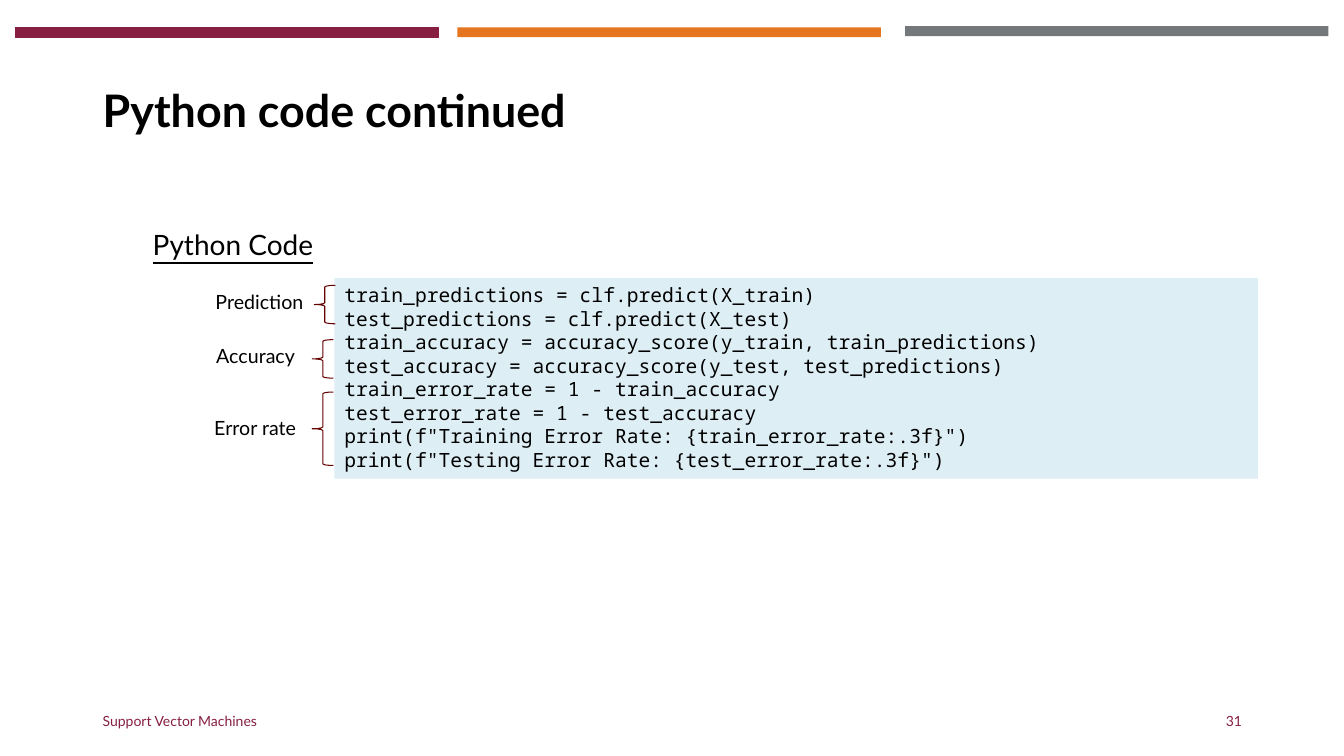
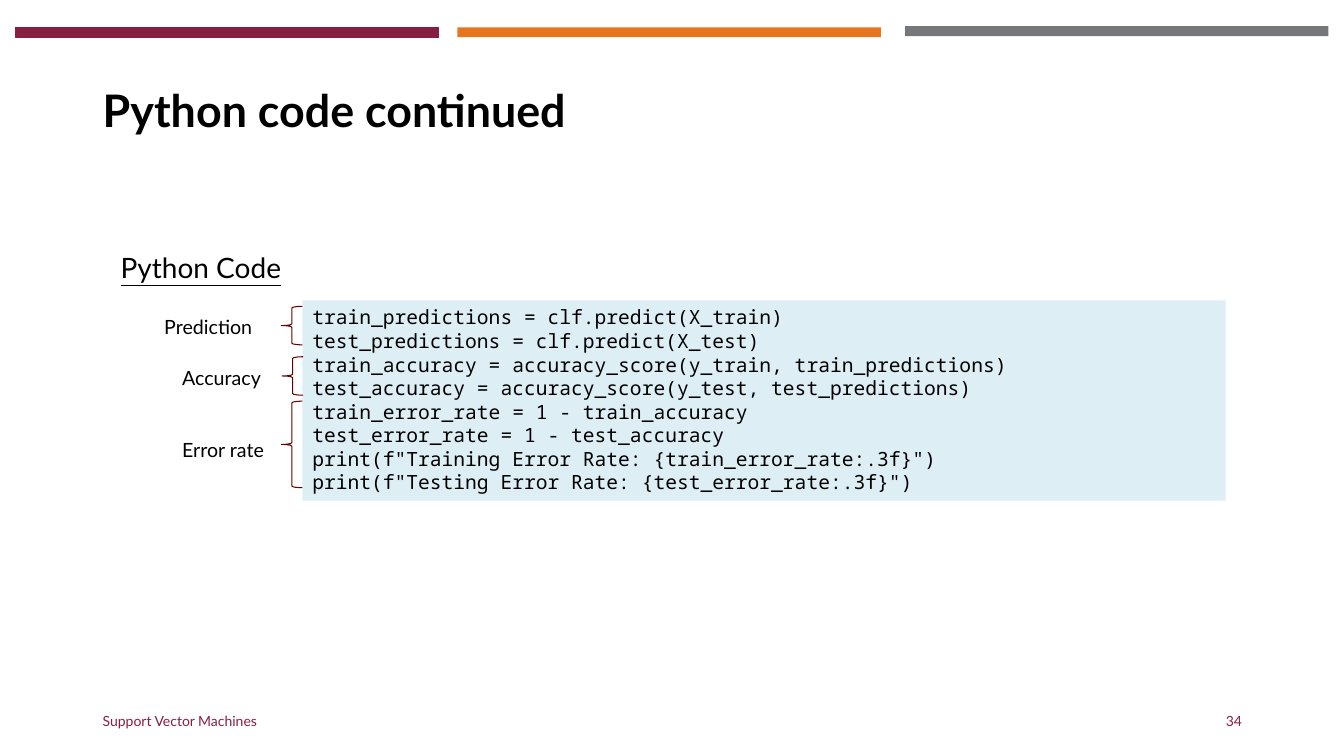
import dataclasses

import pptx
import pptx.dml.color
import pptx.enum.shapes
import pptx.enum.text
import pptx.util

Cm = pptx.util.Cm
Pt = pptx.util.Pt
Shape = pptx.enum.shapes.MSO_SHAPE
Align = pptx.enum.text.PP_ALIGN
Anchor = pptx.enum.text.MSO_ANCHOR


@dataclasses.dataclass(frozen=True)
class Theme:
    sans: str = "Lato"
    mono: str = "Noto Sans Mono"
    ink: str = "000000"
    maroon: str = "861F41"
    orange: str = "E5751F"
    gray: str = "75787B"
    panel: str = "DEEEF5"
    brace: str = "650000"
    title: int = 32
    head: int = 20
    body: int = 14
    foot: int = 10
    rule: float = 0.75


THEME = Theme()

CODE = [
    "train_predictions = clf.predict(X_train)",
    "test_predictions = clf.predict(X_test)",
    "train_accuracy = accuracy_score(y_train, train_predictions)",
    "test_accuracy = accuracy_score(y_test, test_predictions)",
    "train_error_rate = 1 - train_accuracy",
    "test_error_rate = 1 - test_accuracy",
    'print(f"Training Error Rate: {train_error_rate:.3f}")',
    'print(f"Testing Error Rate: {test_error_rate:.3f}")',
]


@dataclasses.dataclass(frozen=True)
class Note:
    text: str
    left: float
    top: float
    brace_left: float
    brace_top: float
    brace_high: float


@dataclasses.dataclass(frozen=True)
class Page:
    number: str
    left: float
    top: float
    notes: tuple


PAGES = [
    Page("31", 8.43, 7.01, (
        Note("Prediction", -3.25, 0.18, -0.51, 0.18, 0.97),
        Note("Accuracy", -3.23, 1.52, -0.56, 1.55, 0.97),
        Note("Error rate", -3.28, 3.35, -0.56, 2.87, 1.85),
    )),
    Page("34", 7.62, 7.57, (
        Note("Prediction", -3.73, 0.25, -0.53, 0.15, 0.97),
        Note("Accuracy", -3.28, 1.52, -0.51, 1.42, 0.97),
        Note("Error rate", -3.28, 3.35, -0.53, 2.54, 2.18),
    )),
]


def tint(code):
    return pptx.dml.color.RGBColor.from_string(code)


def write(frame, lines, size, face=THEME.sans, ink=THEME.ink, bold=False,
          under=False, align=Align.LEFT, anchor=Anchor.TOP, pitch=None):
    frame.word_wrap = True
    frame.vertical_anchor = anchor
    for at, line in enumerate(lines):
        para = frame.add_paragraph() if at else frame.paragraphs[0]
        para.alignment = align
        if pitch:
            para.line_spacing = pitch
        run = para.add_run()
        run.text = line
        font = run.font
        font.name = face
        font.size = Pt(size)
        font.bold = bold
        font.underline = under
        font.color.rgb = tint(ink)


def add_text(slide, box, text, size, **style):
    label = slide.shapes.add_textbox(*map(Cm, box))
    write(label.text_frame, [text], size, **style)


def add_form(slide, kind, box, fill=None, line=None):
    form = slide.shapes.add_shape(kind, *map(Cm, box))
    form.shadow.inherit = False
    if fill:
        form.fill.solid()
        form.fill.fore_color.rgb = tint(fill)
    else:
        form.fill.background()
    if line:
        form.line.color.rgb = tint(line)
        form.line.width = Pt(THEME.rule)
    else:
        form.line.fill.background()
    return form


def add_bands(slide, left, top, wide, high):
    bands = [
        (0, 0.03, THEME.maroon, THEME.maroon),
        (11.15, 0.03, THEME.orange, None),
        (22.43, 0, THEME.gray, None),
    ]
    for shift, drop, fill, line in bands:
        box = (left + shift, top + drop, wide, high)
        add_form(slide, Shape.RECTANGLE, box, fill, line)


def add_frame(slide, left, wide, number):
    add_bands(slide, 0.38, 0.66, 10.67, 0.25)
    add_text(slide, (left, 1.02, wide, 3.68), "Python code continued",
             THEME.title, bold=True, anchor=Anchor.MIDDLE, pitch=0.9)
    foot = dict(ink=THEME.maroon, anchor=Anchor.MIDDLE)
    add_text(slide, (left, 17.65, 11.43, 1.02), "Support Vector Machines",
             THEME.foot, **foot)
    add_text(slide, (left + wide - 7.62, 17.65, 7.62, 1.02), number,
             THEME.foot, align=Align.RIGHT, **foot)


def add_note(slide, left, top, note):
    box = (left + note.brace_left, top + note.brace_top, 0.53, note.brace_high)
    brace = add_form(slide, Shape.LEFT_BRACE, box, line=THEME.brace)
    brace.adjustments[0] = 0.08
    brace.adjustments[1] = 0.5
    add_text(slide, (left + note.left, top + note.top, 3.02, 0.86),
             note.text, THEME.body)


def add_code(slide, left, top, wide, high, notes):
    add_text(slide, (left - 4.83, top - 1.83, 5.64, 1.55), "Python Code",
             THEME.head, under=True, anchor=Anchor.MIDDLE, pitch=1.5)
    panel = add_form(slide, Shape.RECTANGLE, (left, top, wide, high),
                     THEME.panel)
    write(panel.text_frame, CODE, THEME.body, face=THEME.mono)
    for note in notes:
        add_note(slide, left, top, note)


def main():
    deck = pptx.Presentation()
    deck.slide_width = Cm(33.87)
    deck.slide_height = Cm(19.05)
    blank = deck.slide_layouts[6]
    for page in PAGES:
        slide = deck.slides.add_slide(blank)
        add_frame(slide, 2.34, 29.21, page.number)
        add_code(slide, page.left, page.top, 23.27, 5.05, page.notes)
    deck.save("out.pptx")


if __name__ == "__main__":
    main()
